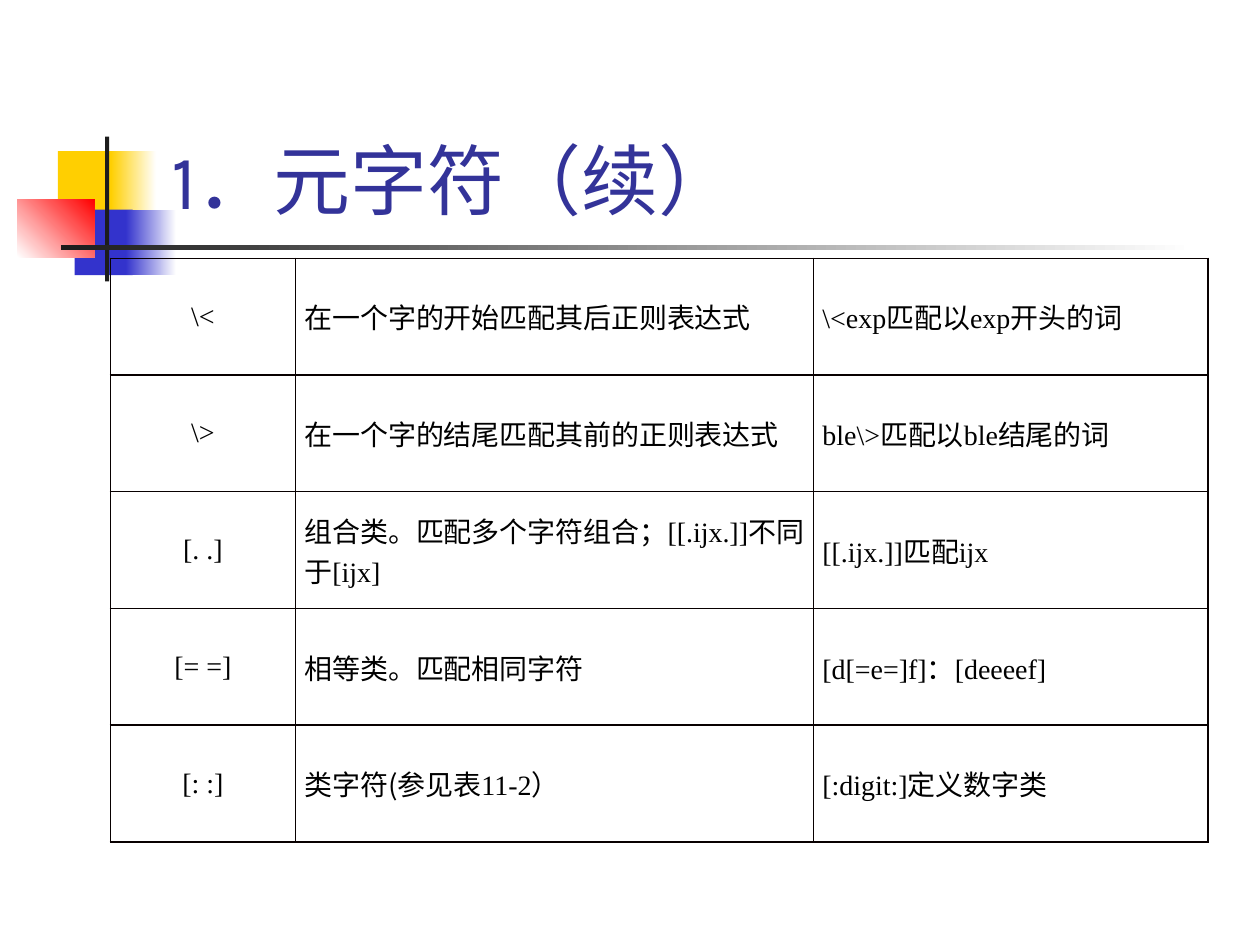
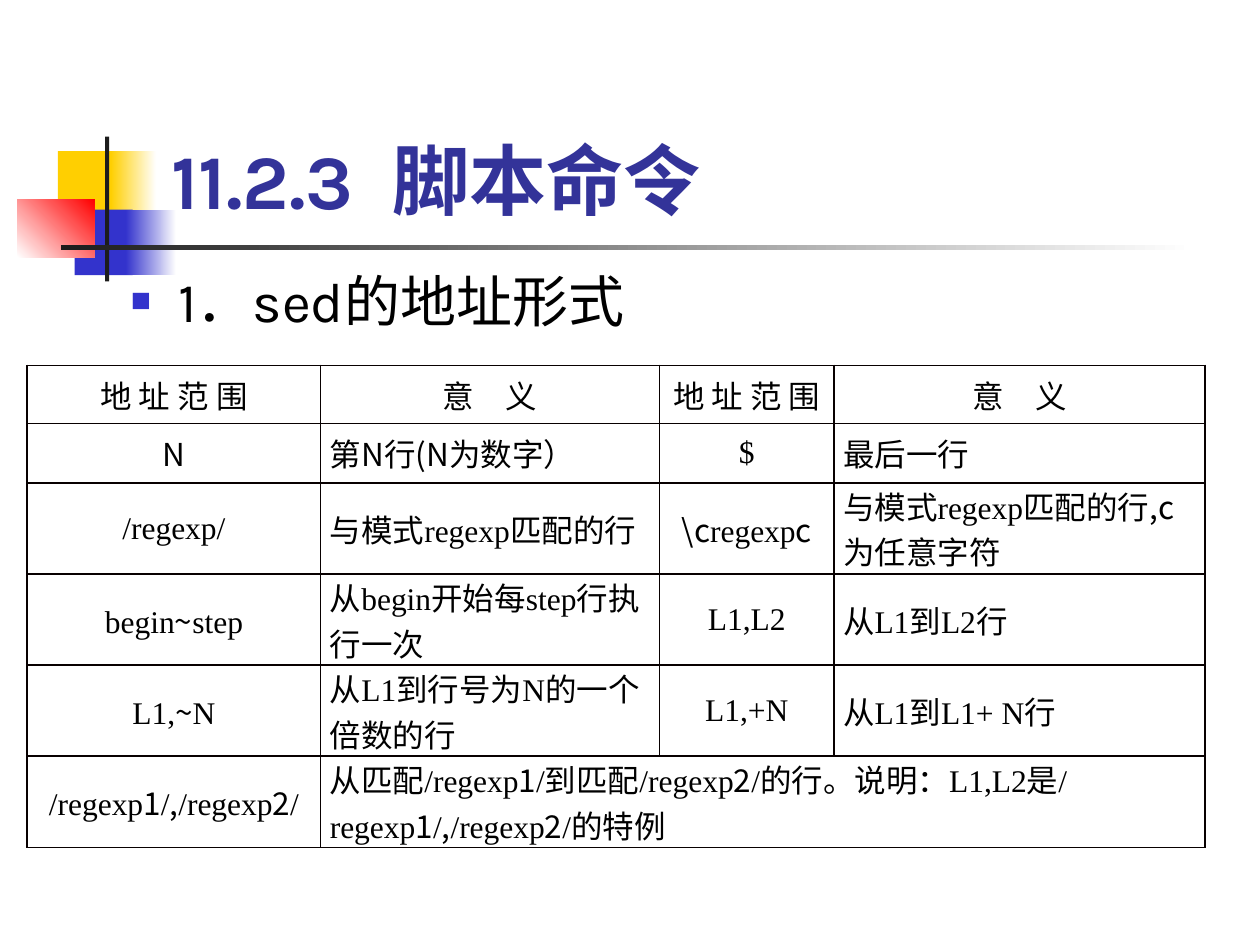
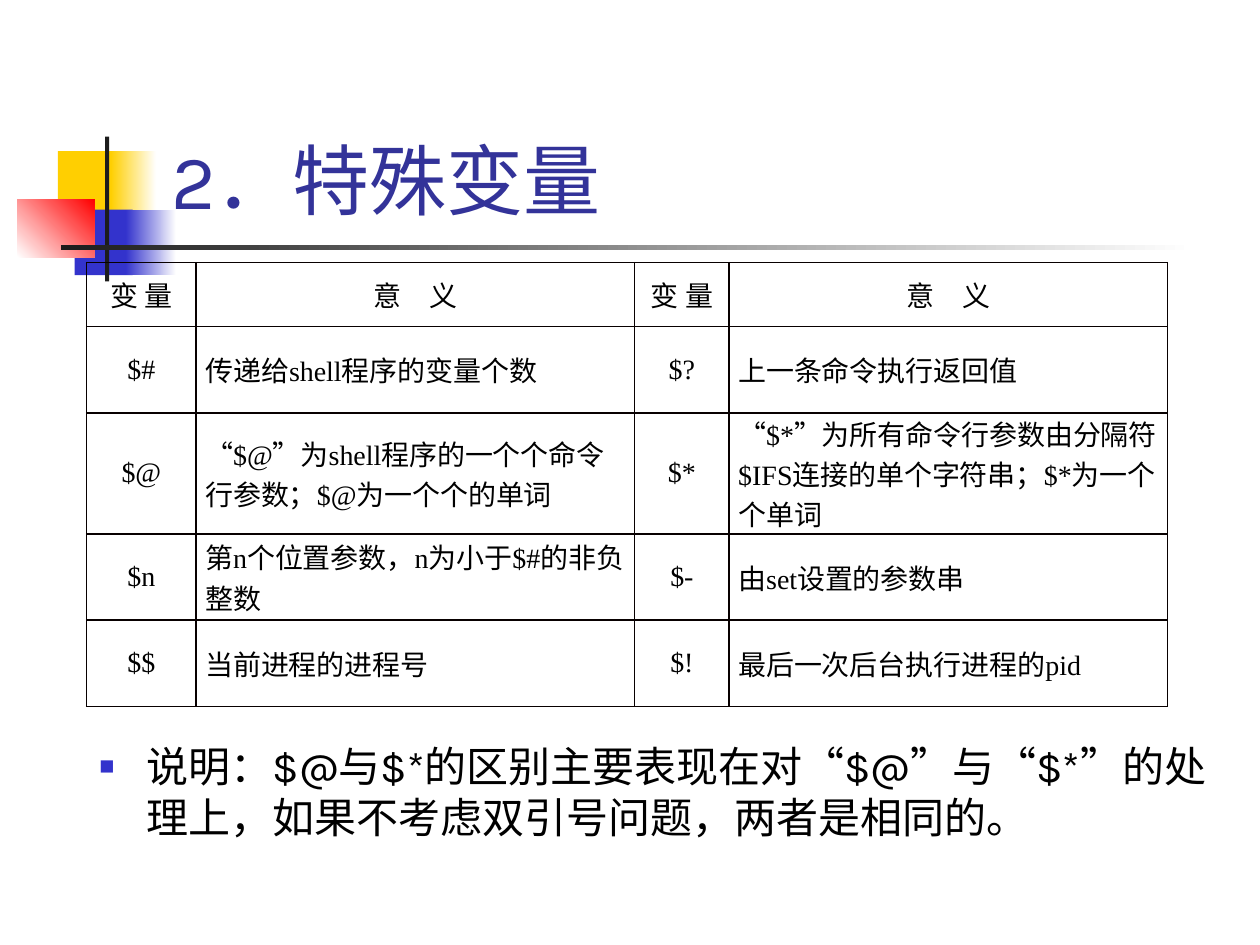
"""Build three slides on metacharacters, sed addresses and shell special variables."""
from dataclasses import dataclass

from lxml.etree import SubElement
from pptx import Presentation
from pptx.dml.color import RGBColor
from pptx.enum.shapes import MSO_SHAPE
from pptx.enum.text import MSO_ANCHOR, MSO_AUTO_SIZE, PP_ALIGN
from pptx.oxml.ns import qn
from pptx.util import Pt


@dataclass(frozen=True)
class Theme:
    title: str = "333399"
    text: str = "000000"
    border: str = "080000"
    yellow: str = "FFCF01"
    blue: str = "3333CC"
    red: str = "FF0000"
    dark: str = "1C1C1C"
    white: str = "FFFFFF"
    heading_font: str = "Karla"
    chinese_font: str = "Noto Sans CJK SC"
    latin_font: str = "Times New Roman"
    title_size: int = 44
    large_note_size: int = 32
    small_note_size: int = 24
    large_cell_size: int = 18
    small_cell_size: int = 16


theme = Theme()


def add_span(para, text, size, font, color=theme.text, bold=False):
    span = para.add_run()
    span.text = text
    span.font.size = Pt(size)
    span.font.bold = bold
    span.font.color.rgb = RGBColor.from_string(color)
    span.font.name = font
    SubElement(span.font._element, qn("a:ea"), typeface=theme.chinese_font)


def add_child(parent, tag, **attributes):
    return SubElement(parent, qn(tag), **attributes)


ornaments = [
    (33.1, 86.4, 34.6, 37.4, theme.yellow, None, 0),
    (63.4, 86.4, 25.9, 37.4, theme.yellow, theme.white, 0),
    (42.7, 119.8, 33.1, 37.4, theme.blue, None, 0),
    (72, 119.8, 28.8, 37.4, theme.blue, theme.white, 0),
    (10, 113.8, 44, 33.1, theme.white, theme.red, 45),
    (60, 78, 2.4, 82.8, theme.dark, None, 0),
    (34.6, 140.2, 648, 2.4, theme.dark, theme.white, 0),
]

pages = [
    {
        "title": "1．元字符（续）", "bold": False, "note": None,
        "place": (63, 147.6), "size": theme.small_cell_size, "header": False, "centred": [0],
        "columns": [105.8, 296, 225.6], "rows": [66.7] * 5,
        "cells": [
            [r"|\<", "在一个字的开始匹配其后正则表达式", r"|\<exp|匹配以|exp|开头的词"],
            [r"|\>", "在一个字的结尾匹配其前的正则表达式", r"|ble\>|匹配以|ble|结尾的词"],
            ["|[. .]", "组合类。匹配多个字符组合；|[[.ijx.]]|不同于|[ijx]", "|[[.ijx.]]|匹配|ijx"],
            ["|[= =]", "相等类。匹配相同字符", "|[d[=e=]f]|：|[deeeef]"],
            ["|[: :]", "类字符(参见表|11-2|）", "|[:digit:]|定义数字类"],
        ],
    },
    {
        "title": "11.2.3  脚本命令", "bold": True,
        "note": ("1．sed的地址形式", theme.large_note_size, (67.7, 148.6, 637.2, 334.1)),
        "place": (15.5, 208.8), "size": theme.large_cell_size, "header": True, "centred": [0, 2],
        "columns": [167.8, 193.7, 99.6, 212], "rows": [33.1, 34] + [52.1] * 4,
        "cells": [
            ["地 址 范 围", "意　义", "地 址 范 围", "意　义"],
            ["N", "第N行(N为数字）", "|$", "最后一行"],
            ["|/regexp/", "与模式|regexp|匹配的行", r"\c|regexp|c", "与模式|regexp|匹配的行,c为任意字符"],
            ["|begin|~|step", "从|begin|开始每|step|行执行一次", "|L1,L2", "从|L1|到|L2|行"],
            ["|L1,|~|N", "从|L1|到行号为|N|的一个倍数的行", "|L1,+N", "从|L1|到|L1+ N|行"],
            ["|/regexp|1|/|,|/regexp|2|/",
             "从匹配|/regexp|1|/|到匹配|/regexp|2|/|的行。说明：|L1,L2|是"
             "|/regexp|1|/|,|/regexp|2|/|的特例"],
        ],
    },
    {
        "title": "2．特殊变量", "bold": False,
        "note": ("说明：$@与$*的区别主要表现在对“$@”与“$*”的处理上，如果不考虑双引号问题，两者是相同的。",
                 theme.small_note_size, (49.7, 419.8, 655.9, 63.4)),
        "place": (49.5, 150), "size": theme.small_cell_size, "header": True, "centred": [0, 2],
        "columns": [62.6, 250.6, 54, 250.4], "rows": [36.7, 49.2, 69.2, 49.2, 49.5],
        "cells": [
            ["变 量", "意　义", "变 量", "意　义"],
            ["|$#", "传递给|shell|程序的变量个数", "|$?", "上一条命令执行返回值"],
            ["|$@", "“|$@|”为|shell|程序的一个个命令行参数；|$@|为一个个的单词",
             "|$*", "“|$*|”为所有命令行参数由分隔符|$IFS|连接的单个字符串；|$*|为一个个单词"],
            ["|$n", "第|n|个位置参数，|n|为小于|$#|的非负整数", "|$-", "由|set|设置的参数串"],
            ["|$$", "当前进程的进程号", "|$!", "最后一次后台执行进程的|pid"],
        ],
    },
]

deck = Presentation()
deck.slide_width, deck.slide_height = Pt(720), Pt(540)
layout = deck.slide_layouts[5]

for number, content in enumerate(pages):
    page = deck.slides.add_slide(layout)

    if number == 0:
        for left, top, width, height, start, end, angle in ornaments:
            ornament = page.shapes.add_shape(
                MSO_SHAPE.RECTANGLE, Pt(left), Pt(top), Pt(width), Pt(height))
            ornament.shadow.inherit = False
            ornament.line.fill.background()
            if end:
                ornament.fill.gradient()
                ornament.fill.gradient_angle = angle
                for stop, color in zip(ornament.fill.gradient_stops, (start, end)):
                    stop.color.rgb = RGBColor.from_string(color)
            else:
                ornament.fill.solid()
                ornament.fill.fore_color.rgb = RGBColor.from_string(start)
            layout.placeholders[0].element.addprevious(ornament.element)

    title = page.shapes.title
    title.left, title.top, title.width, title.height = Pt(90.7), Pt(17), Pt(613.4), Pt(115.2)
    title.text_frame.auto_size = MSO_AUTO_SIZE.NONE
    title.text_frame.vertical_anchor = MSO_ANCHOR.BOTTOM
    para = title.text_frame.paragraphs[0]
    para.alignment = PP_ALIGN.LEFT
    add_span(para, content["title"], theme.title_size, theme.heading_font,
             theme.title, content["bold"])

    if content["note"]:
        text, size, place = content["note"]
        box = page.shapes.add_textbox(*[Pt(length) for length in place])
        box.text_frame.word_wrap = True
        para = box.text_frame.paragraphs[0]
        para.space_before = Pt(size * 0.2)
        add_span(para, text, size, theme.heading_font)
        properties = para._p.get_or_add_pPr()
        properties.set("marL", str(Pt(27)))
        properties.set("indent", str(Pt(-27)))
        add_child(add_child(properties, "a:buClr"), "a:srgbClr", val=theme.blue)
        add_child(properties, "a:buSzPct", val="60000")
        add_child(properties, "a:buFont", typeface=theme.latin_font)
        add_child(properties, "a:buChar", char="■")

    columns, rows = content["columns"], content["rows"]
    left, top = content["place"]
    table = page.shapes.add_table(
        len(rows), len(columns), Pt(left), Pt(top), Pt(sum(columns)), Pt(sum(rows))).table
    table.first_row = table.horz_banding = False
    for column, width in zip(table.columns, columns):
        column.width = Pt(width)
    for row, height in zip(table.rows, rows):
        row.height = Pt(height)

    for row_index, texts in enumerate(content["cells"]):
        if len(texts) < len(columns):
            table.cell(row_index, len(texts) - 1).merge(table.cell(row_index, len(columns) - 1))
        for column_index in range(len(columns)):
            cell = table.cell(row_index, column_index)
            cell.margin_left = cell.margin_right = Pt(5.2)
            cell.margin_top = cell.margin_bottom = 0
            cell.vertical_anchor = MSO_ANCHOR.MIDDLE
            for side in ("a:lnL", "a:lnR", "a:lnT", "a:lnB"):
                line = add_child(cell._tc.get_or_add_tcPr(), side, w=str(Pt(1)))
                add_child(add_child(line, "a:solidFill"), "a:srgbClr", val=theme.border)
            cell.fill.background()
            if column_index >= len(texts):
                continue
            para = cell.text_frame.paragraphs[0]
            heading = content["header"] and row_index == 0
            centred = heading or column_index in content["centred"]
            para.alignment = PP_ALIGN.CENTER if centred else PP_ALIGN.LEFT
            for part_index, part in enumerate(texts[column_index].split("|")):
                if part:
                    font = theme.latin_font if part_index % 2 else theme.chinese_font
                    add_span(para, part, content["size"], font)

deck.save("out.pptx")
